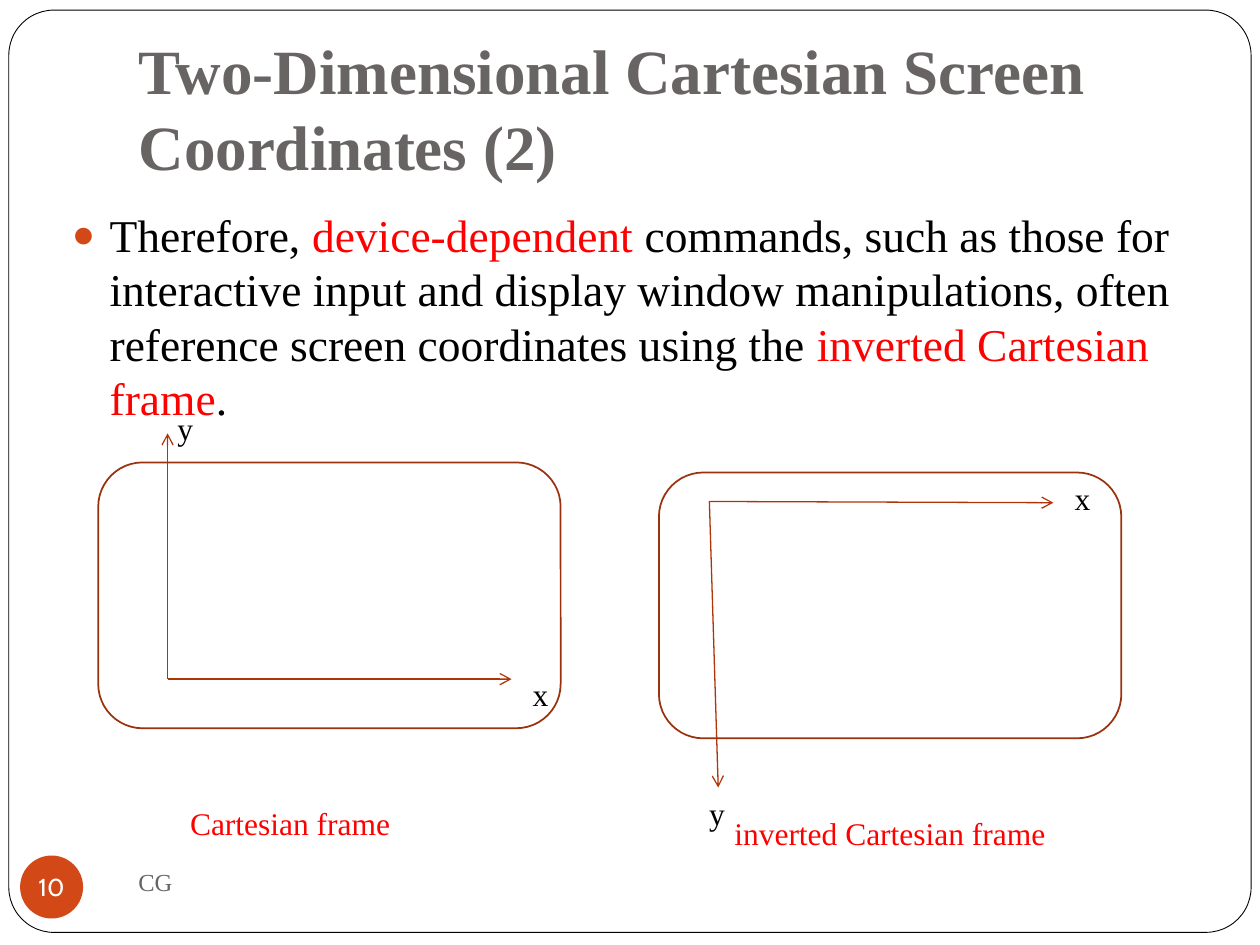
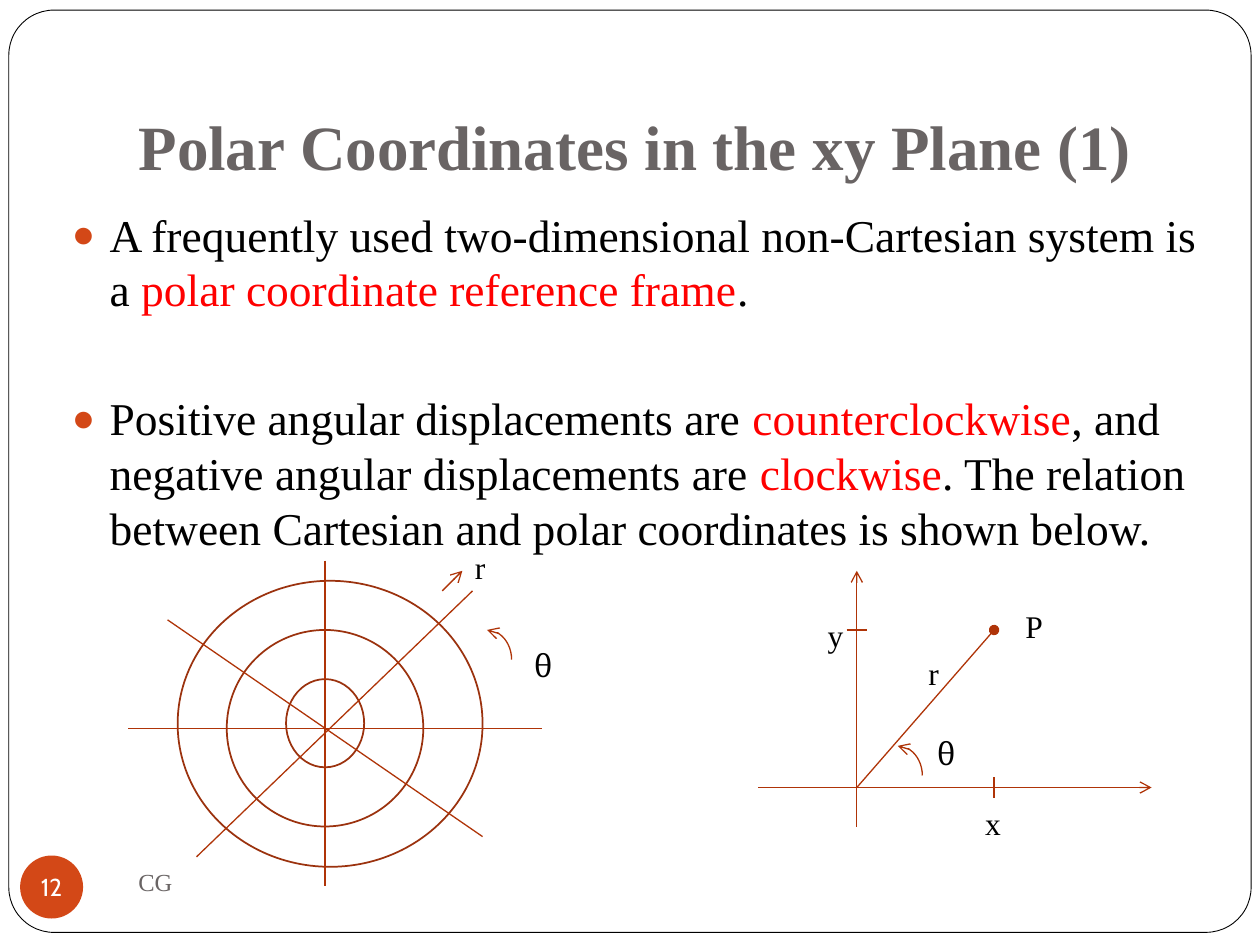
"""Build two slides on Cartesian and polar screen coordinates."""
from dataclasses import dataclass
from itertools import cycle

from lxml import etree
from pptx import Presentation
from pptx import util as u
from pptx.dml.color import RGBColor
from pptx.enum import shapes, text
from pptx.oxml.ns import qn


@dataclass(frozen=True)
class Theme:
    paper: str = "FFFFFF"
    ink: str = "000000"
    grey: str = "696464"
    accent: str = "D34817"
    emphasis: str = "FF0000"
    outline: str = "9B320E"
    axis: str = "AF3408"
    serif: str = "Times New Roman"
    greek: str = "Cambria"
    badge_font: str = "Cabin"
    title: int = 36
    body: int = 26
    label: int = 18
    small: int = 14


theme = Theme()


def add_run(paragraph, words, size, color, font=theme.serif, bold=False):
    run = paragraph.add_run()
    run.text = words
    run.font.size = u.Pt(size)
    run.font.name = font
    run.font.bold = bold
    run.font.color.rgb = RGBColor.from_string(color)


def draw_line(shape, color, width, **ends):
    shape.line.color.rgb = RGBColor.from_string(color)
    shape.line.width = u.Pt(width)
    properties = shape._element.spPr
    for end, kind in ends.items():
        etree.SubElement(properties.find(qn("a:ln")), qn(f"a:{end}"), type=kind)
    etree.SubElement(properties, qn("a:effectLst"))


ROUNDED = shapes.MSO_SHAPE.ROUNDED_RECTANGLE
OVAL = shapes.MSO_SHAPE.OVAL
ARROW = {"tailEnd": "arrow"}
DOT = {"tailEnd": "oval"}

lessons = [
    dict(
        number="10",
        title="Two-Dimensional Cartesian Screen Coordinates (2)",
        points=[
            ["Therefore, ", "device-dependent",
             " commands, such as those for interactive input and display window "
             "manipulations, often reference screen coordinates using the ",
             "inverted Cartesian frame", "."],
        ],
        outlines=[(ROUNDED, 0.78, 3.67, 3.67, 2.11), (ROUNDED, 5.23, 3.75, 3.67, 2.11)],
        lines=[
            (1.33, 5.39, 4.06, 5.39, ARROW),
            (5.63, 3.98, 8.36, 3.99, ARROW),
            (1.33, 5.39, 1.33, 3.44, ARROW),
            (5.63, 3.98, 5.7, 6.25, ARROW),
        ],
        angles=[],
        labels=[("x", 4.13, 5.31), ("y", 1.31, 3.2), ("x", 8.43, 3.75), ("y", 5.53, 6.25)],
        captions=[("Cartesian frame", 1.41, 6.33, 2.11),
                  ("inverted Cartesian frame", 5.73, 6.41, 3.19)],
    ),
    dict(
        number="12",
        title="Polar Coordinates in the xy Plane (1)",
        points=[
            ["A frequently used two-dimensional non-Cartesian system is a ",
             "polar coordinate reference frame", "."],
            ["Positive angular displacements are ", "counterclockwise",
             ", and negative angular displacements are ", "clockwise",
             ". The relation between Cartesian and polar coordinates is shown below."],
        ],
        outlines=[(OVAL, 2.27, 5.39, 0.62, 0.7), (OVAL, 1.8, 5, 1.56, 1.56),
                  (OVAL, 1.41, 4.61, 2.42, 2.27)],
        lines=[
            (6.02, 6.25, 9.14, 6.25, ARROW),
            (1.02, 5.78, 4.3, 5.78, {}),
            (2.58, 4.45, 2.58, 7.03, {}),
            (1.33, 4.92, 3.83, 6.64, {}),
            (3.75, 4.69, 1.56, 6.8, {}),
            (3.51, 4.69, 3.67, 4.53, ARROW),
            (6.8, 6.56, 6.8, 4.53, ARROW),
            (6.8, 6.25, 7.89, 5, DOT),
            (7.89, 6.17, 7.89, 6.33, {}),
            (6.72, 5, 6.88, 5, {}),
        ],
        angles=[(3.67, 5), (6.93, 5.92)],
        labels=[("r", 3.67, 4.3), ("θ", 4.14, 5.08), ("P", 8.04, 4.77), ("r", 7.27, 5.14),
                ("θ", 7.34, 5.78), ("x", 7.72, 6.33), ("y", 6.47, 4.84)],
        captions=[],
    ),
]

prs = Presentation()
prs.slide_width, prs.slide_height = u.Inches(10), u.Inches(7.5)

for lesson in lessons:
    slide = prs.slides.add_slide(prs.slide_layouts[1])
    canvas = slide.shapes

    border = canvas.add_shape(ROUNDED, *map(u.Inches, (0.07, 0.08, 9.86, 7.32)))
    border.adjustments[0] = 0.049
    border.fill.solid()
    border.fill.fore_color.rgb = RGBColor.from_string(theme.paper)
    draw_line(border, theme.ink, 0.5)
    canvas._spTree.insert(2, border._element)

    heading, points = canvas.title, slide.placeholders[1]
    heading.left, heading.top, heading.width, heading.height = map(u.Inches, (1, 0.3, 8.5, 1.25))
    heading.text_frame.auto_size = text.MSO_AUTO_SIZE.NONE
    heading.text_frame.vertical_anchor = text.MSO_ANCHOR.BOTTOM
    heading.text_frame.margin_bottom = u.Inches(0.1)
    heading_line = heading.text_frame.paragraphs[0]
    heading_line.alignment = text.PP_ALIGN.LEFT
    add_run(heading_line, lesson["title"], theme.title, theme.grey, bold=True)

    points.left, points.top, points.width, points.height = map(u.Inches, (0.47, 1.59, 9.3, 5.45))
    points.text_frame.auto_size = text.MSO_AUTO_SIZE.NONE
    for index, phrases in enumerate(lesson["points"]):
        point = points.text_frame.add_paragraph() if index else points.text_frame.paragraphs[0]
        bullet = point._p.get_or_add_pPr()
        bullet.set("marL", str(u.Inches(0.3)))
        bullet.set("indent", str(-u.Inches(0.3)))
        etree.SubElement(etree.SubElement(bullet, qn("a:buClr")), qn("a:srgbClr"), val=theme.accent)
        etree.SubElement(bullet, qn("a:buSzPct"), val="85000")
        etree.SubElement(bullet, qn("a:buChar"), char="●")
        point.space_before = u.Pt(42.7 if index else 0)
        for phrase, color in zip(phrases, cycle((theme.ink, theme.emphasis))):
            add_run(point, phrase, theme.body, color)

    course = canvas.add_textbox(*map(u.Inches, (1, 6.75, 4.33, 0.5))).text_frame
    course.word_wrap = True
    course.vertical_anchor = text.MSO_ANCHOR.MIDDLE
    add_run(course.paragraphs[0], "CG", theme.small, theme.grey)

    badge = canvas.add_shape(OVAL, *map(u.Inches, (0.16, 6.79, 0.5, 0.5)))
    badge.shadow.inherit = False
    badge.fill.solid()
    badge.fill.fore_color.rgb = RGBColor.from_string(theme.accent)
    badge.line.fill.background()
    number = badge.text_frame
    number.margin_left = number.margin_right = number.margin_top = number.margin_bottom = 0
    number.word_wrap = False
    number.vertical_anchor = text.MSO_ANCHOR.MIDDLE
    number.paragraphs[0].alignment = text.PP_ALIGN.CENTER
    add_run(number.paragraphs[0], lesson["number"], theme.small, theme.paper, theme.badge_font)

    for kind, *place in lesson["outlines"]:
        outline = canvas.add_shape(kind, *map(u.Inches, place))
        outline.fill.background()
        draw_line(outline, theme.outline, 1)

    for *ends, tip in lesson["lines"]:
        axis = canvas.add_connector(shapes.MSO_CONNECTOR.STRAIGHT, *map(u.Inches, ends))
        draw_line(axis, theme.axis, 0.75, **tip)

    for left, top in lesson["angles"]:
        angle = canvas.add_shape(shapes.MSO_SHAPE.ARC, *map(u.Inches, (left, top, 0.39, 0.47)))
        angle.fill.background()
        draw_line(angle, theme.axis, 0.75, headEnd="arrow")

    symbols = [(*label, 0.4, theme.ink) for label in lesson["labels"]]
    captions = [(*caption, theme.emphasis) for caption in lesson["captions"]]
    for words, left, top, width, color in symbols + captions:
        note = canvas.add_textbox(*map(u.Inches, (left, top, width, 0.4))).text_frame
        note.word_wrap = True
        font = theme.greek if words == "θ" else theme.serif
        add_run(note.paragraphs[0], words, theme.label, color, font)

prs.save("out.pptx")
